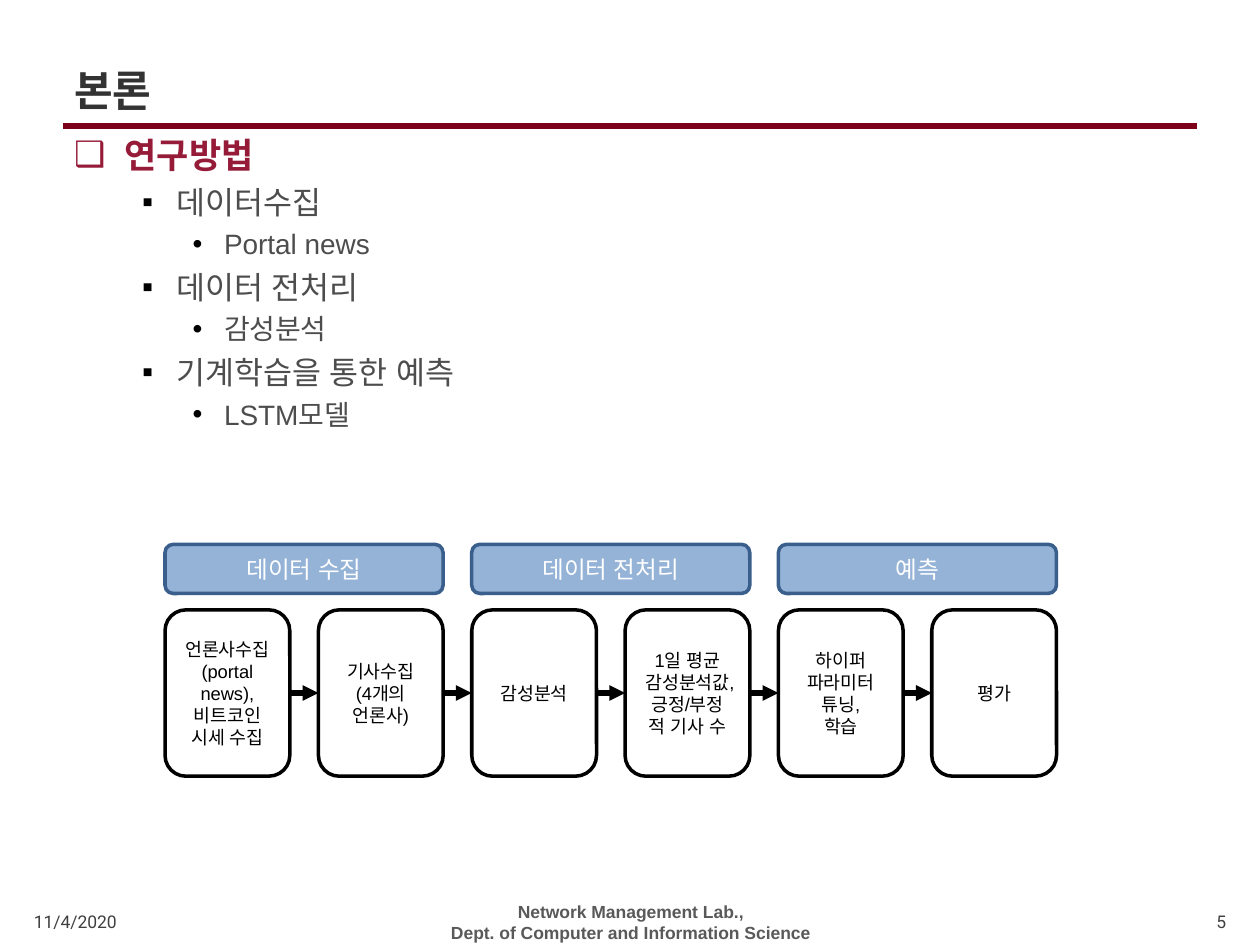
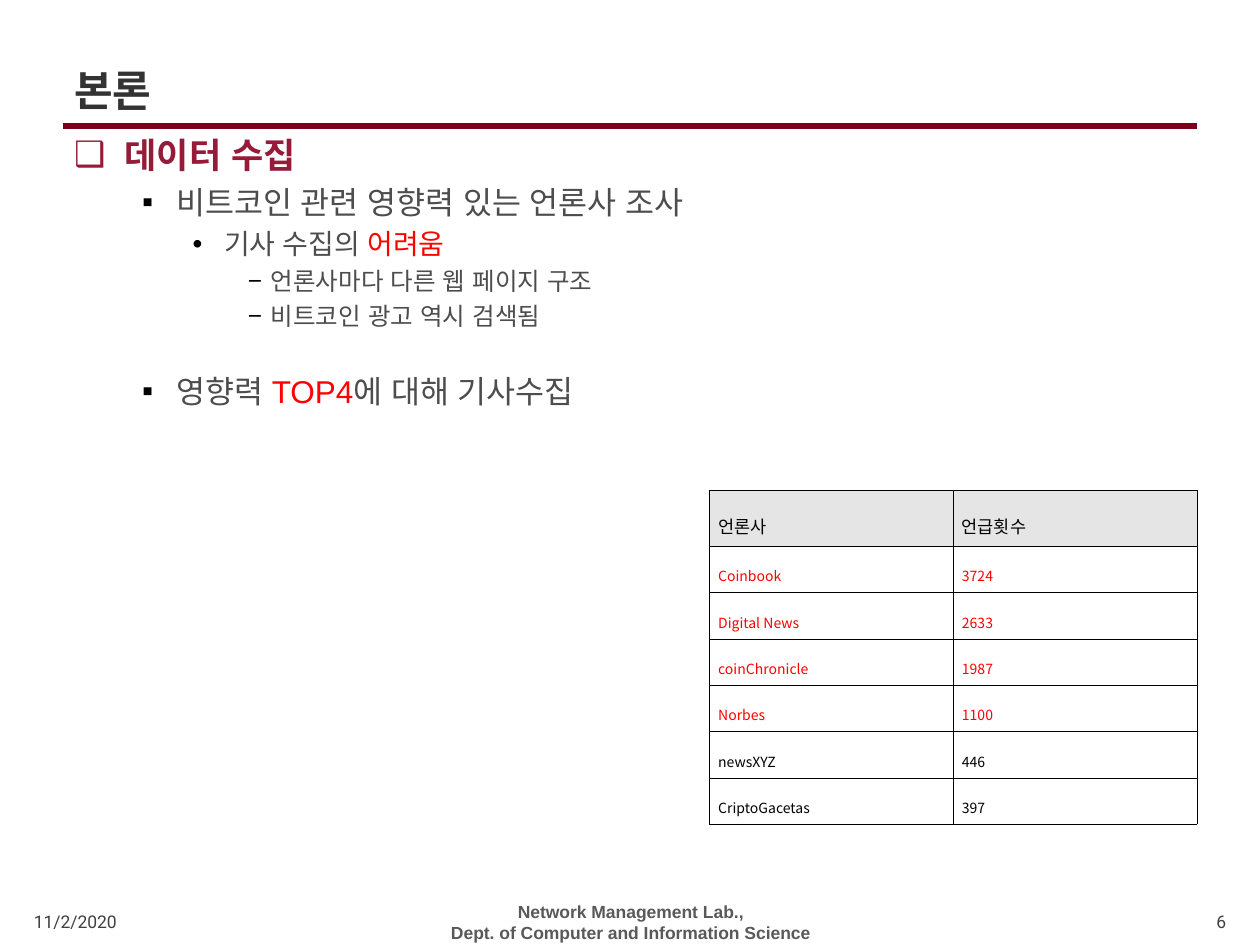
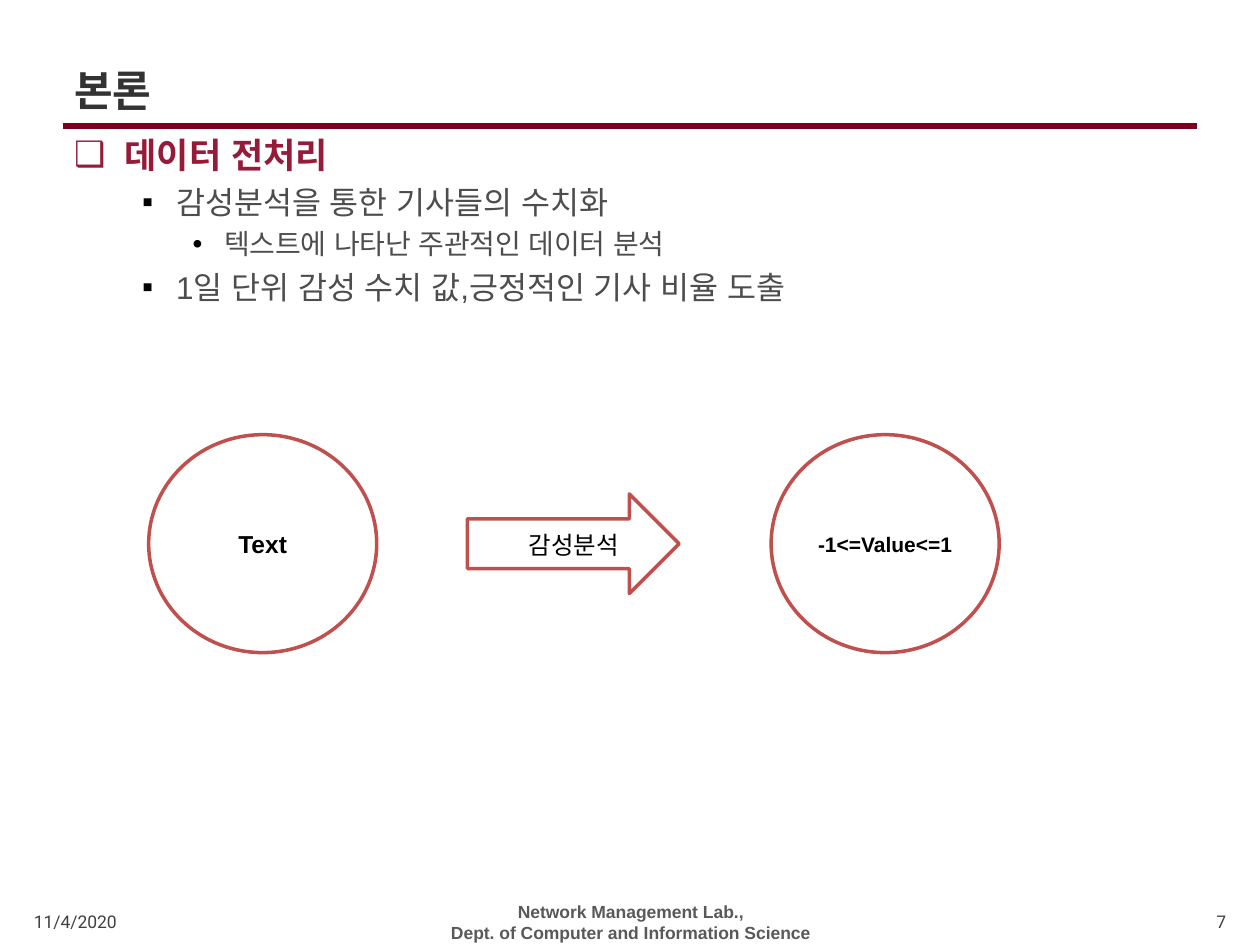
import dataclasses

import lxml.etree
import pptx
import pptx.dml.color
import pptx.enum.lang
import pptx.enum.shapes
import pptx.enum.text
import pptx.oxml.ns
import pptx.util

SHAPE = pptx.enum.shapes.MSO_SHAPE
ALIGN = pptx.enum.text.PP_ALIGN
ANCHOR = pptx.enum.text.MSO_ANCHOR
qn = pptx.oxml.ns.qn


@dataclasses.dataclass(frozen=True)
class Theme:
    font: str = "Arial"
    footer_font: str = "Roboto"
    table_font: str = "Noto Sans CJK KR"
    white: str = "FFFFFF"
    black: str = "000000"
    title: str = "333333"
    rule: str = "7C001A"
    heading: str = "951B39"
    body: str = "4D4D4D"
    accent: str = "FF0000"
    footer: str = "404040"
    lab: str = "595959"
    stage_fill: str = "95B3D7"
    stage_line: str = "3A5F8C"
    outline: str = "C0504D"
    table_head: str = "E5E5E5"
    title_size: float = 24
    footer_size: float = 10
    stage_size: float = 13.5
    step_size: float = 10.5
    figure_size: float = 14
    range_size: float = 12
    head_size: float = 10
    cell_size: float = 8


@dataclasses.dataclass(frozen=True)
class Level:
    bullet: str
    margin: float
    hanging: float
    size: float


T = Theme()
COLS, ROWS = 100, 75
LEVELS = [
    Level("❑", 4, 4, 20),
    Level("▪", 8.1, 2.7, 18),
    Level("•", 11.9, 2.5, 16),
    Level("−", 15.6, 1.8, 14),
]
LAB = "Network Management Lab.,\nDept. of Computer and Information Science"
STAGES = ["데이터 수집", "데이터 전처리", "예측"]
STEPS = [
    "언론사수집(portal news),\n비트코인 시세 수집",
    "기사수집\n(4개의 언론사)",
    "감성분석",
    "1일 평균 감성분석값,긍정/부정적 기사 수",
    "하이퍼\n파라미터 튜닝,\n학습",
    "평가",
]
MENTIONS = [
    ("언론사", "언급횟수"),
    ("Coinbook", "3724"),
    ("Digital News", "2633"),
    ("coinChronicle", "1987"),
    ("Norbes", "1100"),
    ("newsXYZ", "446"),
    ("CriptoGacetas", "397"),
]
TOP_COUNT = 4


def grid(n):
    return pptx.util.Inches(n / 10)


def area(left, top, width, height):
    return [grid(n) for n in (left, top, width, height)]


def rgb(color):
    return pptx.dml.color.RGBColor.from_string(color)


def add_run(p, text, size=12, color=T.black, bold=False, font=T.font):
    r = p.add_run()
    r.text = text
    r.font.name = font
    r.font.size = pptx.util.Pt(size)
    r.font.bold = bold
    r.font.color.rgb = rgb(color)
    r.font.language_id = pptx.enum.lang.MSO_LANGUAGE_ID.KOREAN
    east = lxml.etree.Element(qn("a:ea"), typeface=font)
    r.font._element.find(qn("a:latin")).addnext(east)


def write(tf, text, align=ALIGN.CENTER, anchor=ANCHOR.MIDDLE, spacing=None, **look):
    tf.word_wrap = True
    tf.vertical_anchor = anchor
    for i, line in enumerate(text.split("\n")):
        p = tf.add_paragraph() if i else tf.paragraphs[0]
        p.alignment = align
        p.line_spacing = spacing
        add_run(p, line, **look)


def add_text(s, place, text, **look):
    write(s.shapes.add_textbox(*area(*place)).text_frame, text, **look)


def add_box(s, kind, place, fill, line, text="", **look):
    sp = s.shapes.add_shape(kind, *area(*place))
    sp.shadow.inherit = False
    sp.fill.solid()
    sp.fill.fore_color.rgb = rgb(fill)
    sp.line.color.rgb = rgb(line)
    sp.line.width = pptx.util.Pt(2)
    if text:
        write(sp.text_frame, text, **look)


def add_line(s, start, end, color, arrow=False):
    points = [grid(n) for n in (*start, *end)]
    line = s.shapes.add_connector(pptx.enum.shapes.MSO_CONNECTOR.STRAIGHT, *points)
    line.line.color.rgb = rgb(color)
    line.line.width = pptx.util.Pt(3)
    if arrow:
        ln = line.line._get_or_add_ln()
        lxml.etree.SubElement(ln, qn("a:tailEnd"), type="triangle")
    lxml.etree.SubElement(line._element.spPr, qn("a:effectLst"))


def set_bullet(p, level):
    pPr = p._p.get_or_add_pPr()
    pPr.set("marL", str(grid(level.margin)))
    pPr.set("indent", str(-grid(level.hanging)))
    color = lxml.etree.SubElement(pPr, qn("a:buClr"))
    shade = T.heading if level is LEVELS[0] else T.black
    lxml.etree.SubElement(color, qn("a:srgbClr"), val=shade)
    lxml.etree.SubElement(pPr, qn("a:buFont"), typeface=T.font)
    lxml.etree.SubElement(pPr, qn("a:buChar"), char=level.bullet)


def add_outline(s, items):
    tf = s.shapes.add_textbox(*area(4.9, 10.1, 90, 61.6)).text_frame
    tf.word_wrap = True
    for i, (depth, text, *gap) in enumerate(items):
        level = LEVELS[depth]
        p = tf.add_paragraph() if i else tf.paragraphs[0]
        p.level = depth
        p.space_before = pptx.util.Pt(0.23 * level.size + sum(gap))
        set_bullet(p, level)
        base = T.body if depth else T.heading
        for j, part in enumerate(text.split("|")):
            color = T.accent if j % 2 else base
            add_run(p, part, size=level.size, color=color, bold=depth == 0)


def add_page(prs, title, date, number, items):
    s = prs.slides.add_slide(prs.slide_layouts[5])
    add_line(s, (5, 10), (95, 10), T.rule)
    sp = s.shapes.title
    sp.left, sp.top, sp.width, sp.height = area(4.9, 4.4, 90.1, 5.5)
    write(sp.text_frame, title, align=ALIGN.LEFT, size=T.title_size,
          color=T.title, bold=True)
    add_outline(s, items)
    small = dict(size=T.footer_size, color=T.footer, font=T.footer_font)
    add_text(s, (1.7, 71.9, 11.5, 2.5), date, align=ALIGN.LEFT, **small)
    add_text(s, (92.7, 71.9, 5.6, 2.5), str(number), align=ALIGN.RIGHT, **small)
    add_text(s, (23.7, 71.9, 52.7, 2.5), LAB, size=T.footer_size,
             color=T.lab, bold=True)
    return s


def add_process(s, left=13.1, pitch=12.17, width=9.9, top=48.4, height=13.2):
    middle = top + height / 2
    for i, step in enumerate(STEPS):
        x = left + i * pitch
        add_box(s, SHAPE.ROUNDED_RECTANGLE, (x, top, width, height),
                T.white, T.black, step, size=T.step_size)
        if i:
            add_line(s, (x - pitch + width, middle), (x, middle), T.black, arrow=True)
    for i, stage in enumerate(STAGES):
        add_box(s, SHAPE.ROUNDED_RECTANGLE,
                (left + 2 * i * pitch, 43.2, pitch + width, 3.9),
                T.stage_fill, T.stage_line, stage, size=T.stage_size, color=T.white)


def set_borders(cell):
    tcPr = cell._tc.get_or_add_tcPr()
    for i, side in enumerate(("lnL", "lnR", "lnT", "lnB")):
        ln = lxml.etree.Element(qn("a:" + side), w=str(pptx.util.Pt(0.28)))
        fill = lxml.etree.SubElement(ln, qn("a:solidFill"))
        lxml.etree.SubElement(fill, qn("a:srgbClr"), val=T.black)
        tcPr.insert(i, ln)


def fill_cell(cell, text, row):
    cell.margin_left = cell.margin_right = grid(0.7)
    cell.margin_top = cell.margin_bottom = grid(0.2)
    if row == 0:
        cell.fill.solid()
        cell.fill.fore_color.rgb = rgb(T.table_head)
    else:
        cell.fill.background()
    set_borders(cell)
    write(cell.text_frame, text, align=ALIGN.JUSTIFY, spacing=1.6,
          size=T.cell_size if row else T.head_size, font=T.table_font,
          color=T.accent if 1 <= row <= TOP_COUNT else T.black)
    cell.vertical_anchor = ANCHOR.MIDDLE


def add_mentions(s):
    frame = s.shapes.add_table(len(MENTIONS), 2, *area(56.3, 38.9, 38.7, 26.6))
    table = frame.table
    table.first_row = table.horz_banding = False
    for i, values in enumerate(MENTIONS):
        table.rows[i].height = grid(3.68 if i else 4.45)
        for j, value in enumerate(values):
            fill_cell(table.cell(i, j), value, i)


def add_sentiment(s):
    ends = [(11.8, "Text", T.figure_size), (61.2, "-1<=Value<=1", T.range_size)]
    for left, text, size in ends:
        add_box(s, SHAPE.OVAL, (left, 34.5, 18.1, 17.3), T.white, T.outline,
                text, size=size, bold=True)
    add_box(s, SHAPE.RIGHT_ARROW, (37.1, 39.2, 16.8, 7.9), T.white, T.outline)
    add_text(s, (39.4, 41.6, 12.3, 3.4), "감성분석", anchor=ANCHOR.TOP,
             size=T.figure_size)


def main():
    prs = pptx.Presentation()
    prs.slide_width, prs.slide_height = grid(COLS), grid(ROWS)
    add_process(add_page(prs, "본론", "11/4/2020", 5, [
        (0, "연구방법"),
        (1, "데이터수집"),
        (2, "Portal news"),
        (1, "데이터 전처리"),
        (2, "감성분석"),
        (1, "기계학습을 통한 예측"),
        (2, "LSTM모델"),
    ]))
    add_mentions(add_page(prs, "본론", "11/2/2020", 6, [
        (0, "데이터 수집"),
        (1, "비트코인 관련 영향력 있는 언론사 조사"),
        (2, "기사 수집의 |어려움"),
        (3, "언론사마다 다른 웹 페이지 구조"),
        (3, "비트코인 광고 역시 검색됨"),
        (1, "영향력 |TOP4|에 대해 기사수집", 19.4),
    ]))
    add_sentiment(add_page(prs, "본론", "11/4/2020", 7, [
        (0, "데이터 전처리"),
        (1, "감성분석을 통한 기사들의 수치화"),
        (2, "텍스트에 나타난 주관적인 데이터 분석"),
        (1, "1일 단위 감성 수치 값,긍정적인 기사 비율 도출"),
    ]))
    prs.save("out.pptx")


if __name__ == "__main__":
    main()
